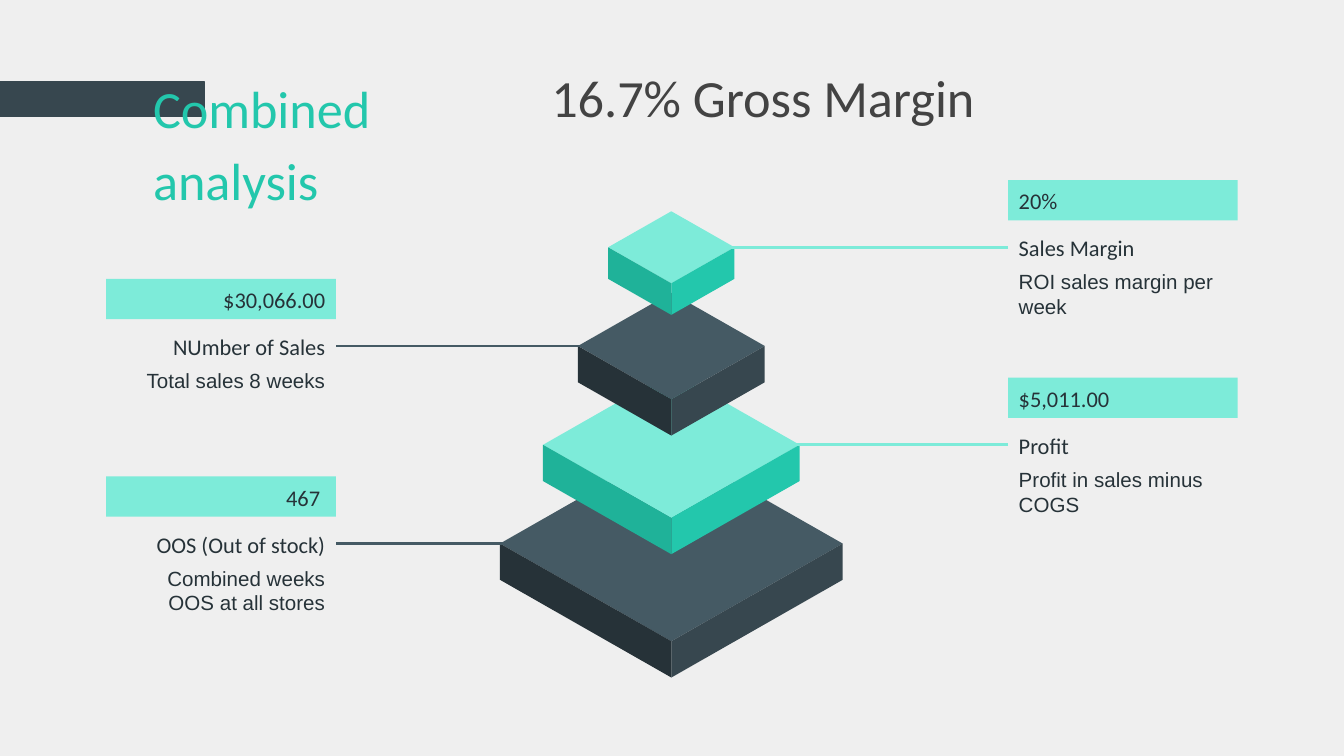
from lxml import etree
from pptx import Presentation
from pptx.dml.color import RGBColor
from pptx.enum.shapes import MSO_CONNECTOR as LINE, MSO_SHAPE as SHAPE
from pptx.enum.text import MSO_ANCHOR as ANCHOR, PP_ALIGN as ALIGN
from pptx.oxml.ns import qn
from pptx.util import Emu, Inches, Pt

UNIT = Inches(0.1)
COLS, ROWS = 100, 56.25
CENTER = 49.95
FIRST_TIER, TIER_STEP = 18.4, 7.35
TILT = 0.57
BAR_W, BAR_H = 17.1, 3

PAPER = RGBColor(0xEF, 0xEF, 0xEF)
INK = RGBColor(0x26, 0x32, 0x38)
GRAY = RGBColor(0x43, 0x43, 0x43)
SLATE = RGBColor(0x37, 0x47, 0x4F)
SLATE_TOP = RGBColor(0x45, 0x5A, 0x64)
MINT = RGBColor(0x7D, 0xEB, 0xD9)
TEAL = RGBColor(0x23, 0xC7, 0xAC)
TEAL_DARK = RGBColor(0x1F, 0xB2, 0x99)

DARK_FACES = (SLATE_TOP, SLATE, INK)
MINT_FACES = (MINT, TEAL, TEAL_DARK)

TIERS = [
    (4.7, 2.35, MINT_FACES),
    (6.95, 2.7, DARK_FACES),
    (9.55, 2.7, MINT_FACES),
    (12.75, 2.7, DARK_FACES),
]
CALLOUTS = [
    ("20%", "Sales Margin", "ROI sales margin per week", CENTER),
    ("$30,066.00", "NUmber of Sales", "Total sales 8 weeks", CENTER),
    ("$5,011.00", "Profit", "Profit in sales minus COGS", CENTER),
    ("467 ", "OOS (Out of stock)", "Combined weeks OOS at all stores", 39.2),
]


def grid(*cells):
    """Turn grid counts into slide lengths."""
    return [Emu(round(n * UNIT)) for n in cells]


def tier_row(i):
    """Give the row of the widest line of a tier."""
    return FIRST_TIER + i * TIER_STEP


def set_all(target, values):
    """Set each named attribute on the target."""
    for name, value in values.items():
        setattr(target, name, value)


def write(sp, text, size, color, font="Calibri", align=ALIGN.LEFT,
          anchor=ANCHOR.MIDDLE, pad=(0, 0.1), spacing=None):
    """Fill a shape with one formatted paragraph."""
    side, top = grid(*pad)
    tf = sp.text_frame
    set_all(tf, {"word_wrap": True, "vertical_anchor": anchor,
                 "margin_left": side, "margin_right": side,
                 "margin_top": top, "margin_bottom": 0})
    p = tf.paragraphs[0]
    set_all(p, {"alignment": align, "line_spacing": spacing})
    r = p.add_run()
    r.text = text
    set_all(r.font, {"name": font, "size": Pt(size)})
    r.font.color.rgb = color
    return sp


def paint(sp, color):
    """Give a shape a flat fill without outline or shadow."""
    sp.shadow.inherit = False
    sp.fill.solid()
    sp.fill.fore_color.rgb = color
    sp.line.fill.background()
    return sp


def add_bar(s, box, color):
    """Add a plain rectangle."""
    return paint(s.shapes.add_shape(SHAPE.RECTANGLE, *grid(*box)), color)


def add_text(s, box, text, size, color, **options):
    """Add a text box."""
    return write(s.shapes.add_textbox(*grid(*box)), text, size, color, **options)


def add_face(shapes, points, color):
    """Add a closed polygon."""
    start, *rest = [grid(*point) for point in points]
    builder = shapes.build_freeform(*start)
    builder.add_line_segments(rest, close=True)
    paint(builder.convert_to_shape(), color)


def add_tier(s, y, half, depth, colors):
    """Add one slab of the pyramid as a group of three faces."""
    rise = half * TILT
    left, right = (CENTER - half, y), (CENTER + half, y)
    back, front = (CENTER, y - rise), (CENTER, y + rise)
    foot = (CENTER, y + rise + depth)
    top, light, dark = colors
    shapes = s.shapes.add_group_shape().shapes
    add_face(shapes, [back, left, front, right], top)
    add_face(shapes, [right, front, foot, (right[0], y + depth)], light)
    add_face(shapes, [left, (left[0], y + depth), foot, front], dark)


def add_leader(s, label, side, y, end, color):
    """Join a label's side to its tier."""
    line = s.shapes.add_connector(LINE.STRAIGHT, label.left, label.top,
                                  *grid(end, y))
    line.begin_connect(label, side)
    line.line.color.rgb = color
    line.line.width = Pt(1.5)
    etree.SubElement(line._element.spPr, qn("a:effectLst"))


def add_callout(s, y, value, name, detail, end, on_right):
    """Add a value bar, its label, detail and leader line."""
    x, side, align, color = ((75, 1, ALIGN.LEFT, MINT) if on_right
                             else (7.9, 3, ALIGN.RIGHT, SLATE_TOP))
    style = {"align": align, "pad": (0.8, 0.1)}
    label = add_text(s, (x, y - 1.5, BAR_W, BAR_H), name, 12, INK, **style)
    add_leader(s, label, side, y, end, color)
    add_text(s, (x, y + 1.55, BAR_W, 6.3), detail, 11, INK, font="Arial",
             anchor=ANCHOR.TOP, **style)
    write(add_bar(s, (x, y - 5, BAR_W, BAR_H), MINT), value, 12, INK, **style)


def main():
    """Build the slide and save it."""
    prs = Presentation()
    prs.slide_width, prs.slide_height = grid(COLS, ROWS)
    s = prs.slides.add_slide(prs.slide_layouts[6])
    s.background.fill.solid()
    s.background.fill.fore_color.rgb = PAPER

    band = add_bar(s, (0, 6.1, 15.2, 2.6), SLATE)
    band.line.color.rgb = SLATE
    band.line.width = Pt(0.75)
    add_text(s, (38.9, 4.4, 36.6, 5.5), "16.7% Gross Margin ", 28, GRAY,
             align=ALIGN.CENTER)
    for i, tier in reversed(list(enumerate(TIERS))):
        add_tier(s, tier_row(i), *tier)
    add_text(s, (10.4, 4, 28.5, 5.5), "Combined analysis", 28, TEAL,
             anchor=ANCHOR.TOP, pad=(1, 1), spacing=1.15)
    for i, callout in enumerate(CALLOUTS):
        add_callout(s, tier_row(i), *callout, on_right=i % 2 == 0)
    prs.save("out.pptx")


if __name__ == "__main__":
    main()
